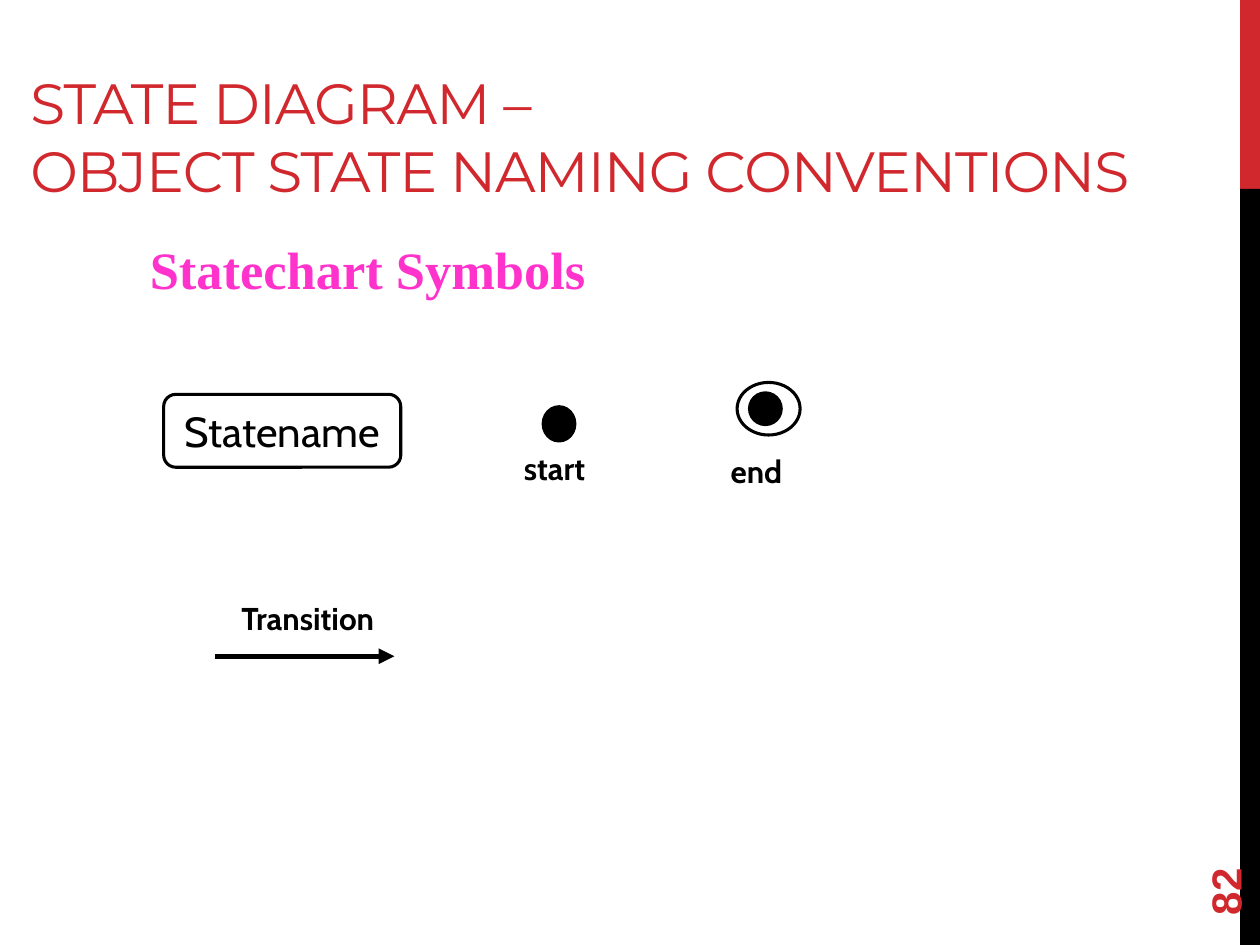
from lxml.etree import SubElement
from pptx import Presentation
from pptx.dml.color import RGBColor
from pptx.enum.shapes import MSO_CONNECTOR, MSO_SHAPE
from pptx.enum.text import MSO_ANCHOR, MSO_AUTO_SIZE, PP_ALIGN
from pptx.oxml.ns import qn
from pptx.util import Cm, Pt

RED = RGBColor(0xD1, 0x28, 0x2E)
BLACK = RGBColor(0, 0, 0)
PINK = RGBColor(0xFF, 0x33, 0xCC)

TITLE = dict(name="Montserrat", size=Pt(32.4), bold=False)
NUMBER = dict(name="Arial", size=Pt(24), bold=True)
HEADING = dict(name="Times New Roman", size=Pt(30), bold=True)
STATE = dict(name="Cabin", size=Pt(24), bold=False)
LABEL = dict(name="Cabin", size=Pt(18), bold=True)


def write(sp, text, fmt, color, align=PP_ALIGN.LEFT, anchor=MSO_ANCHOR.TOP, wrap=False):
    tf = sp.text_frame
    for name, value in dict(auto_size=MSO_AUTO_SIZE.NONE, word_wrap=wrap,
                            vertical_anchor=anchor).items():
        setattr(tf, name, value)
    p = tf.paragraphs[0]
    p.text = text
    p.alignment = align
    for r in p.runs:
        for name, value in fmt.items():
            setattr(r.font, name, value)
        r.font.color.rgb = color
    return p


def add_shape(kind, box, fill=None, line=None):
    sp = s.shapes.add_shape(kind, *map(Cm, box))
    sp.shadow.inherit = False
    if fill is None:
        sp.fill.background()
    else:
        sp.fill.solid()
        sp.fill.fore_color.rgb = fill
    if line is None:
        sp.line.fill.background()
    else:
        sp.line.color.rgb = line
        sp.line.width = Pt(1.75)
    return sp


prs = Presentation()
prs.slide_width, prs.slide_height = Cm(25.4), Cm(19.05)
s = prs.slides.add_slide(prs.slide_layouts[5])

# Side bar
add_shape(MSO_SHAPE.RECTANGLE, (25, 0, 0.4, 3.81), RED)
add_shape(MSO_SHAPE.RECTANGLE, (25, 3.81, 0.4, 15.24), BLACK)

# Title
title = s.shapes.title
title.left, title.top, title.width, title.height = map(Cm, (0.36, 0.43, 24.97, 3.81))
p = write(title, "STATE DIAGRAM –\vOBJECT STATE NAMING CONVENTIONS", TITLE, RED,
          anchor=MSO_ANCHOR.BOTTOM, wrap=True)
for r in p.runs:
    r.font._element.set("spc", "-60")

# Slide number, read upwards
number = s.shapes.add_textbox(Cm(22.86), Cm(16.36), Cm(3.66), Cm(1.02))
number.rotation = 270
write(number, "82", NUMBER, RED, anchor=MSO_ANCHOR.MIDDLE, wrap=True)

# State, start and end symbols
state = add_shape(MSO_SHAPE.ROUNDED_RECTANGLE, (3.3, 7.95, 4.78, 1.47), line=BLACK)
write(state, "Statename", STATE, BLACK, PP_ALIGN.CENTER, MSO_ANCHOR.MIDDLE)
add_shape(MSO_SHAPE.FLOWCHART_CONNECTOR, (10.95, 8.2, 0.64, 0.69), BLACK, BLACK)
add_shape(MSO_SHAPE.OVAL, (14.86, 7.71, 1.27, 1.06), line=BLACK)
add_shape(MSO_SHAPE.FLOWCHART_CONNECTOR, (15.11, 7.92, 0.64, 0.64), BLACK, BLACK)

# Transition arrow
arrow = s.shapes.add_connector(MSO_CONNECTOR.STRAIGHT, Cm(4.34), Cm(13.23), Cm(7.95), Cm(13.23))
arrow.line.color.rgb = BLACK
arrow.line.width = Pt(3)
SubElement(arrow.line._get_or_add_ln(), qn("a:tailEnd"), type="triangle")
SubElement(arrow._element.spPr, qn("a:effectLst"))

# Heading and symbol labels
for text, box, fmt, color, align in [
    ("Statechart Symbols", (2.77, 4.65, 9.65, 1.55), HEADING, PINK, PP_ALIGN.LEFT),
    ("Transition", (4.34, 11.96, 3.73, 1.02), LABEL, BLACK, PP_ALIGN.CENTER),
    ("start", (10.31, 8.92, 3.78, 1.02), LABEL, BLACK, PP_ALIGN.LEFT),
    ("end", (14.48, 8.99, 1.7, 1.02), LABEL, BLACK, PP_ALIGN.LEFT),
]:
    write(s.shapes.add_textbox(*map(Cm, box)), text, fmt, color, align, wrap=text == "start")

prs.save("out.pptx")
